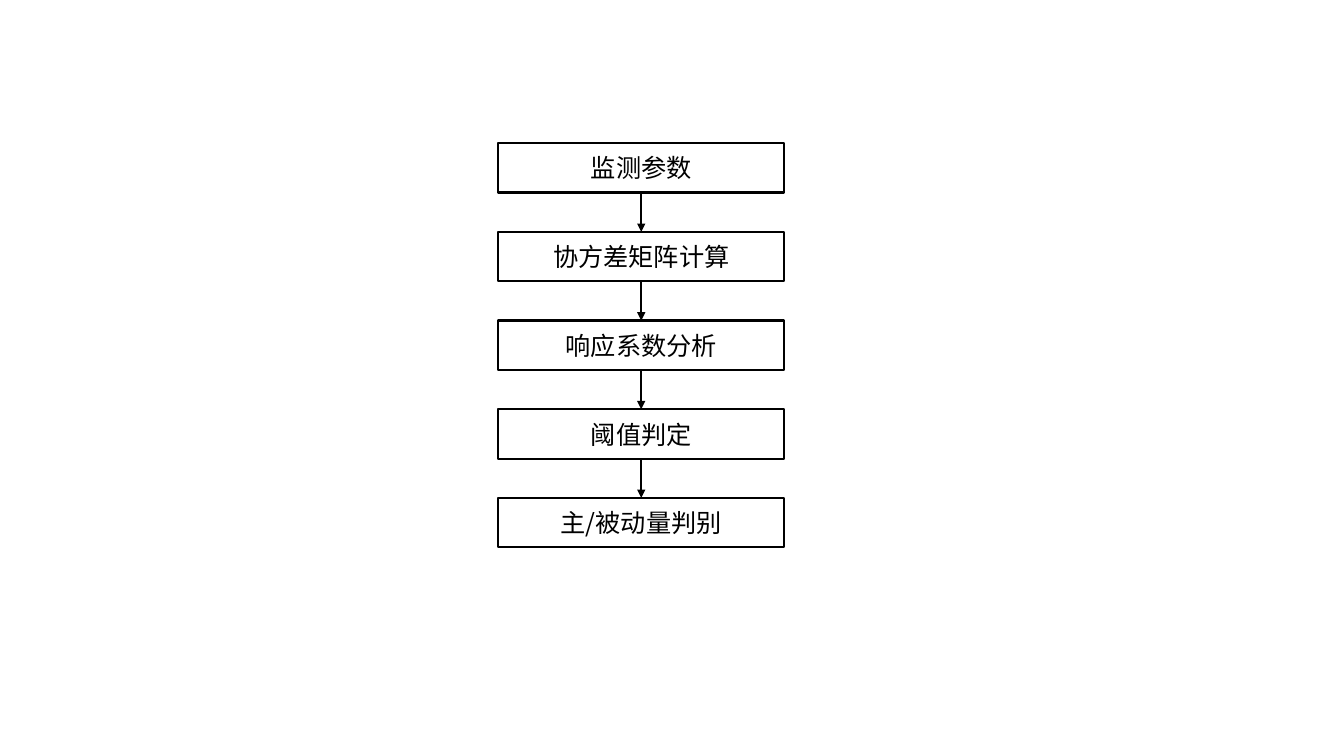
from dataclasses import dataclass

from lxml import etree
from pptx import Presentation
from pptx import util as u
from pptx.dml.color import RGBColor
from pptx.enum import shapes, text
from pptx.oxml.ns import qn


@dataclass(frozen=True)
class Theme:
    ink: RGBColor = RGBColor(0, 0, 0)
    font: str = "Noto Sans CJK SC"
    step_size: float = 18
    line_width: float = 1.5


class FlowSlide:
    def __init__(self, slide, theme):
        self.slide = slide
        self.theme = theme

    def style_line(self, line):
        line.color.rgb = self.theme.ink
        line.width = u.Pt(self.theme.line_width)

    def step(self, label, left, top, width, height):
        box = self.slide.shapes.add_shape(
            shapes.MSO_SHAPE.RECTANGLE,
            u.Inches(left), u.Inches(top), u.Inches(width), u.Inches(height))
        box.shadow.inherit = False
        box.fill.background()
        self.style_line(box.line)

        frame = box.text_frame
        frame.word_wrap = True
        frame.vertical_anchor = text.MSO_ANCHOR.MIDDLE
        paragraph = frame.paragraphs[0]
        paragraph.alignment = text.PP_ALIGN.CENTER
        run = paragraph.add_run()
        run.text = label
        run.font.size = u.Pt(self.theme.step_size)
        run.font.color.rgb = self.theme.ink
        run.font.name = self.theme.font
        # Chinese characters take the East Asian typeface
        etree.SubElement(run.font._element, qn("a:ea"), typeface=self.theme.font)
        return box

    def arrow(self, upper, lower):
        connector = self.slide.shapes.add_connector(
            shapes.MSO_CONNECTOR.STRAIGHT, 0, 0, 0, 0)
        connector.begin_connect(upper, 2)
        connector.end_connect(lower, 0)
        self.style_line(connector.line)
        properties = connector._element.spPr
        etree.SubElement(properties.find(qn("a:ln")), qn("a:tailEnd"), type="triangle")
        etree.SubElement(properties, qn("a:effectLst"))


def main():
    deck = Presentation()
    deck.slide_width, deck.slide_height = u.Inches(13.33), u.Inches(7.5)
    flow = FlowSlide(deck.slides.add_slide(deck.slide_layouts[6]), Theme())

    # Steps, evenly spaced from top to bottom
    labels = ["监测参数", "协方差矩阵计算", "响应系数分析", "阈值判定", "主/被动量判别"]
    first_top, pitch = 1.42, 0.88
    steps = [flow.step(label, 4.94, first_top + row * pitch, 2.84, 0.49)
             for row, label in enumerate(labels)]

    # Arrows between neighbouring steps
    for upper, lower in zip(steps, steps[1:]):
        flow.arrow(upper, lower)

    deck.save("out.pptx")


if __name__ == "__main__":
    main()
